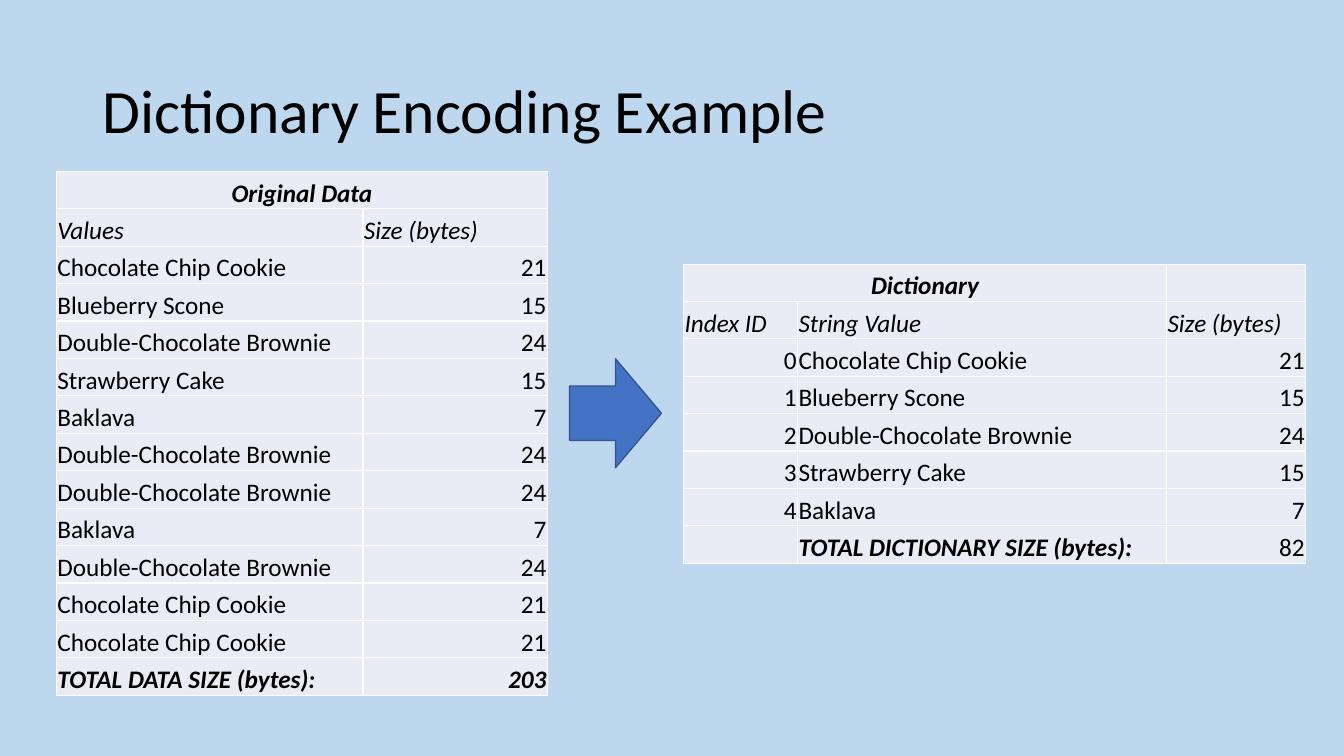
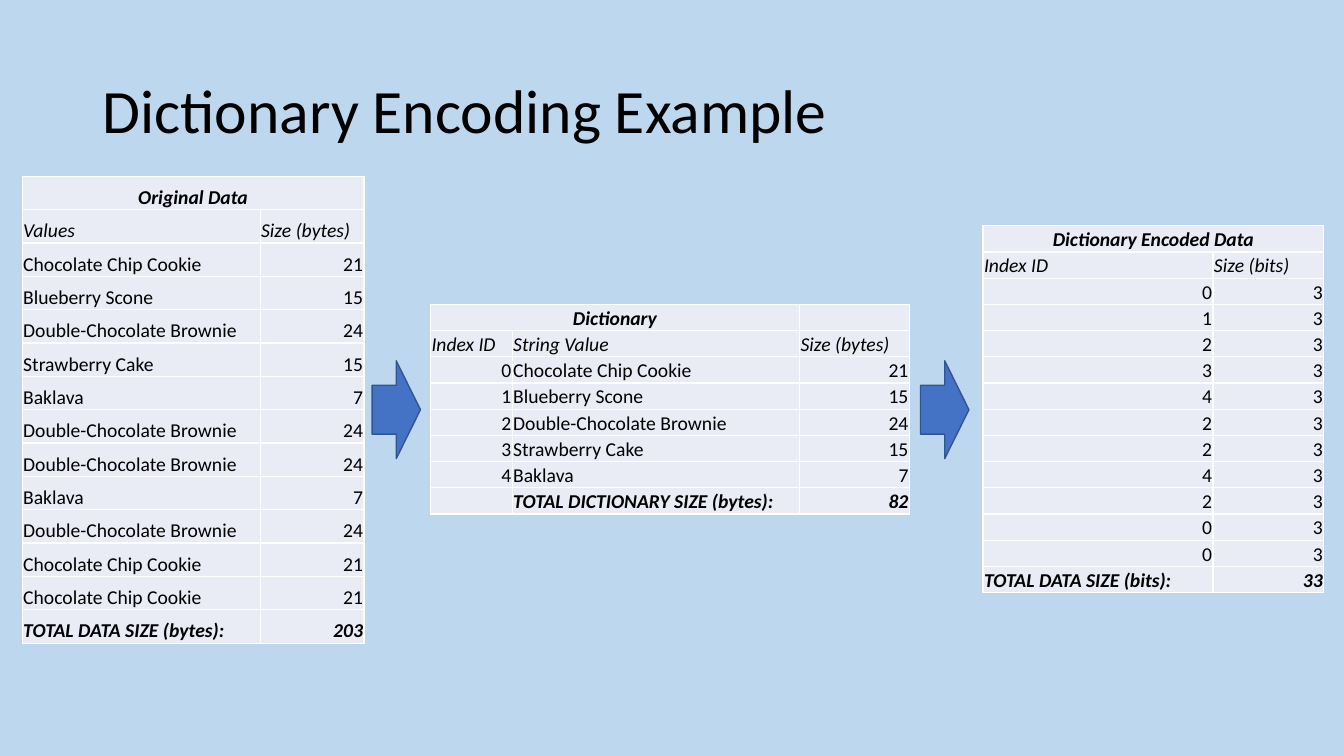
"""Build two slides that explain dictionary encoding with tables."""
from lxml import etree
from pptx import Presentation
from pptx.dml.color import RGBColor
from pptx.enum.shapes import MSO_SHAPE
from pptx.enum.text import MSO_ANCHOR, PP_ALIGN
from pptx.oxml.ns import qn
from pptx.util import Pt

RIGHT_ARROW = MSO_SHAPE.RIGHT_ARROW
MIDDLE, BOTTOM = MSO_ANCHOR.MIDDLE, MSO_ANCHOR.BOTTOM
LEFT, CENTER, RIGHT = PP_ALIGN.LEFT, PP_ALIGN.CENTER, PP_ALIGN.RIGHT

EMU_PER_PX = 9144
FONT = "Calibri"
BACKGROUND, CELL, GRID, TEXT = "BDD7EE", "E9EBF5", "FFFFFF", "000000"
ARROW, ARROW_EDGE = "4472C4", "325491"
BLANK_LAYOUT = 6

SIZES = {
    "Chocolate Chip Cookie": 21,
    "Blueberry Scone": 15,
    "Double-Chocolate Brownie": 24,
    "Strawberry Cake": 15,
    "Baklava": 7,
}
ENTRIES = list(SIZES)
INDEX_IDS = [0, 1, 2, 3, 4, 2, 2, 4, 2, 0, 0]
BITS_PER_INDEX = 3


def px(length):
    """Turn px into EMU."""
    return round(length * EMU_PER_PX)


def color(value):
    """Turn a hex string into a colour."""
    return RGBColor.from_string(value)


def write(frame, text, size, bold=False, italic=False, align=LEFT, spacing=None):
    """Write one formatted paragraph into a text frame."""
    paragraph = frame.paragraphs[0]
    paragraph.alignment = align
    if spacing:
        paragraph.line_spacing = spacing
    if text == "":
        etree.SubElement(paragraph._p, qn("a:endParaRPr"), sz=str(size * 100))
        return
    run = paragraph.add_run()
    run.text = str(text)
    font = run.font
    font.name, font.size = FONT, Pt(size)
    font.bold, font.italic = bold, italic
    font.color.rgb = color(TEXT)


def style_cell(cell):
    """Give a cell its borders, fill, margins and anchor."""
    properties = cell._tc.get_or_add_tcPr()
    for side in ("lnL", "lnR", "lnT", "lnB"):
        border = etree.SubElement(properties, qn(f"a:{side}"), w=str(Pt(1)))
        fill = etree.SubElement(border, qn("a:solidFill"))
        etree.SubElement(fill, qn("a:srgbClr"), val=GRID)
    cell.fill.solid()
    cell.fill.fore_color.rgb = color(CELL)
    cell.margin_left = cell.margin_right = cell.margin_top = px(1)
    cell.margin_bottom = 0
    cell.vertical_anchor = BOTTOM


def add_data_table(slide, rows, left, top, height, widths, size, bold_sum=True):
    """Add a table with a merged caption, a heading row and a total row."""
    frame = slide.shapes.add_table(
        len(rows), len(widths), px(left), px(top), px(sum(widths)), px(height))
    table = frame.table
    table.first_row = table.horz_banding = False
    for column, width in zip(table.columns, widths):
        column.width = px(width)
    last = len(rows) - 1
    for r, values in enumerate(rows):
        table.rows[r].height = px(height / len(rows))
        for c, value in enumerate(values):
            cell = table.cell(r, c)
            style_cell(cell)
            is_number = isinstance(value, int)
            strong = r == 0 or (r == last and (bold_sum or not is_number))
            align = CENTER if r == 0 else RIGHT if is_number else LEFT
            write(cell.text_frame, value, size, bold=strong,
                  italic=strong or r == 1, align=align)
    table.cell(0, 0).merge(table.cell(0, 1))


def add_arrow(slide, left, top, width, height):
    """Add a block arrow that points to the next step."""
    arrow = slide.shapes.add_shape(
        RIGHT_ARROW, px(left), px(top), px(width), px(height))
    arrow.shadow.inherit = False
    arrow.fill.solid()
    arrow.fill.fore_color.rgb = color(ARROW)
    arrow.line.color.rgb = color(ARROW_EDGE)
    arrow.line.width = Pt(1)


def add_example_slide(deck):
    """Add a slide with the shared background and title."""
    slide = deck.slides.add_slide(deck.slide_layouts[BLANK_LAYOUT])
    slide.background.fill.solid()
    slide.background.fill.fore_color.rgb = color(BACKGROUND)
    title = slide.shapes.add_textbox(px(92), px(40), px(1150), px(145)).text_frame
    title.word_wrap = True
    title.vertical_anchor = MIDDLE
    write(title, "Dictionary Encoding Example", 44, spacing=0.9)
    return slide


def original_rows():
    """List every value with its size in bytes."""
    values = [(ENTRIES[i], SIZES[ENTRIES[i]]) for i in INDEX_IDS]
    return [("Original Data", ""), ("Values", "Size (bytes)"), *values,
            ("TOTAL DATA SIZE (bytes):", sum(size for _, size in values))]


def dictionary_rows():
    """List each distinct value with its index."""
    entries = [(i, name, SIZES[name]) for i, name in enumerate(ENTRIES)]
    return [("Dictionary", "", ""), ("Index ID", "String Value", "Size (bytes)"),
            *entries, ("", "TOTAL DICTIONARY SIZE (bytes):", sum(SIZES.values()))]


def encoded_rows():
    """List the index that stands for each value."""
    indexes = [(i, BITS_PER_INDEX) for i in INDEX_IDS]
    return [("Dictionary Encoded Data", ""), ("Index ID", "Size (bits)"), *indexes,
            ("TOTAL DATA SIZE (bits):", BITS_PER_INDEX * len(INDEX_IDS))]


def main():
    """Build and save the deck."""
    deck = Presentation()
    deck.slide_width, deck.slide_height = px(1333), px(750)

    building = add_example_slide(deck)
    add_data_table(building, original_rows(), 56, 170, 520, (304, 183), 18)
    add_data_table(building, dictionary_rows(), 678, 262, 297, (113, 366, 138), 18,
                   bold_sum=False)
    add_arrow(building, 565, 356, 91, 108)

    encoding = add_example_slide(deck)
    add_data_table(encoding, original_rows(), 22, 175, 463, (236, 103), 14)
    add_data_table(encoding, dictionary_rows(), 427, 302, 208, (81, 285, 109), 14)
    add_data_table(encoding, encoded_rows(), 975, 224, 364, (228, 110), 14)
    for left in (369, 913):
        add_arrow(encoding, left, 358, 48, 97)

    deck.save("out.pptx")


if __name__ == "__main__":
    main()
